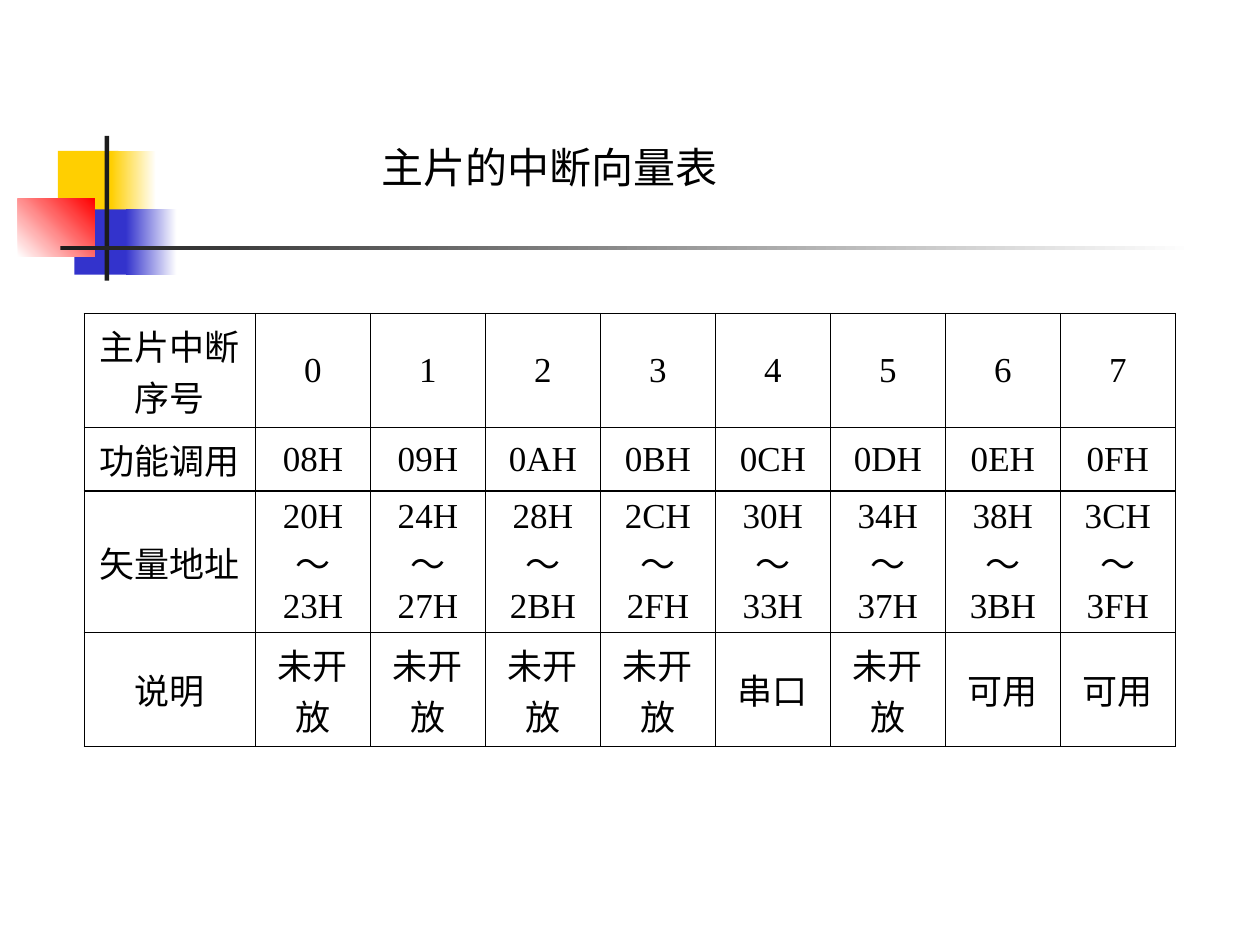
from lxml.etree import SubElement
from pptx import Presentation
from pptx.dml.color import RGBColor
from pptx.enum.shapes import MSO_SHAPE as Shape
from pptx.enum.text import MSO_ANCHOR as Anchor, MSO_AUTO_SIZE as AutoSize, PP_ALIGN as Align
from pptx.oxml.ns import qn
from pptx.util import Cm, Pt

BLACK, WHITE, CHARCOAL = "000000", "FFFFFF", "1C1C1C"
YELLOW, BLUE, RED = "FFCF01", "3333CC", "FF0000"

# Left, top, width, height (cm), then start colour, end colour, angle
ORNAMENT = [
    (0.81, 0.3, 1.22, 1.32, YELLOW, None, 0),
    (1.88, 0.3, 0.91, 1.32, YELLOW, WHITE, 0),
    (1.14, 1.48, 1.17, 1.32, BLUE, None, 0),
    (2.18, 1.48, 1.02, 1.32, BLUE, WHITE, 0),
    (0, 1.27, 1.55, 1.17, WHITE, RED, 45),
    (1.75, 0, 0.09, 2.92, CHARCOAL, None, 0),
    (0.86, 2.21, 22.86, 0.09, CHARCOAL, WHITE, 0),
]

CLOSED, FREE = "未开放", "可用"
INTERRUPTS = range(8)
VECTOR_ROWS = [
    ["主片中断序号"] + [str(number) for number in INTERRUPTS],
    ["功能调用"] + [f"{8 + number:02X}H" for number in INTERRUPTS],
    ["矢量地址"] + [f"{start:X}H～{start + 3:X}H" for start in range(0x20, 0x40, 4)],
    ["说明"] + [CLOSED] * 4 + ["串口", CLOSED, FREE, FREE],
]
ROW_HEIGHTS = [1.9, 1.07, 2.72, 1.9]
LABEL_WIDTH = 3.45


def color(hex_string):
    return RGBColor.from_string(hex_string)


def style_font(paragraph, name, size):
    font = paragraph.font
    font.name, font.size = name, Pt(size)
    font.color.rgb = color(BLACK)


def add_ornament(slide, left, top):
    """Coloured blocks crossed by a vertical bar and a fading rule."""
    for x, y, width, height, start, end, angle in ORNAMENT:
        block = slide.shapes.add_shape(
            Shape.RECTANGLE, Cm(left + x), Cm(top + y), Cm(width), Cm(height))
        block.shadow.inherit = False
        block.line.fill.background()
        if end is None:
            block.fill.solid()
            block.fill.fore_color.rgb = color(start)
        else:
            block.fill.gradient()
            block.fill.gradient_angle = angle
            for stop, stop_color in zip(block.fill.gradient_stops, (start, end)):
                stop.color.rgb = color(stop_color)


def add_title(slide, left, top, width, height):
    box = slide.shapes.add_textbox(Cm(left), Cm(top), Cm(width), Cm(height))
    frame = box.text_frame
    frame.word_wrap = True
    frame.auto_size = AutoSize.SHAPE_TO_FIT_TEXT
    frame.vertical_anchor = Anchor.MIDDLE
    frame.text = "主片的中断向量表"
    style_font(frame.paragraphs[0], "Arial", 24)


def set_borders(cell):
    properties = cell._tc.get_or_add_tcPr()
    for position, side in enumerate(("a:lnL", "a:lnR", "a:lnT", "a:lnB")):
        line = properties.makeelement(qn(side), {"w": str(Pt(1))})
        fill = SubElement(line, qn("a:solidFill"))
        SubElement(fill, qn("a:srgbClr"), val=BLACK)
        properties.insert(position, line)


def add_vector_table(slide, left, top, width):
    row_count, column_count = len(VECTOR_ROWS), len(VECTOR_ROWS[0])
    table = slide.shapes.add_table(
        row_count, column_count, Cm(left), Cm(top), Cm(width), Cm(sum(ROW_HEIGHTS))).table
    table.first_row = table.horz_banding = False

    # Wide label column, equal columns for the interrupts
    for index, column in enumerate(table.columns):
        column.width = Cm((width - LABEL_WIDTH) / (column_count - 1) if index else LABEL_WIDTH)

    for row, height, texts in zip(table.rows, ROW_HEIGHTS, VECTOR_ROWS):
        row.height = Cm(height)
        for cell, text in zip(row.cells, texts):
            cell.text = text
            cell.vertical_anchor = Anchor.MIDDLE
            cell.fill.background()
            set_borders(cell)
            paragraph = cell.text_frame.paragraphs[0]
            paragraph.alignment = Align.CENTER
            style_font(paragraph, "Times New Roman", 20)


def main():
    presentation = Presentation()
    presentation.slide_width, presentation.slide_height = Cm(25.4), Cm(19.05)
    slide = presentation.slides.add_slide(presentation.slide_layouts[6])
    add_ornament(slide, 0.36, 2.74)
    add_vector_table(slide, 1.7, 6.32, 22)
    add_title(slide, 7.44, 2.72, 11.23, 1.27)
    presentation.save("out.pptx")


if __name__ == "__main__":
    main()
